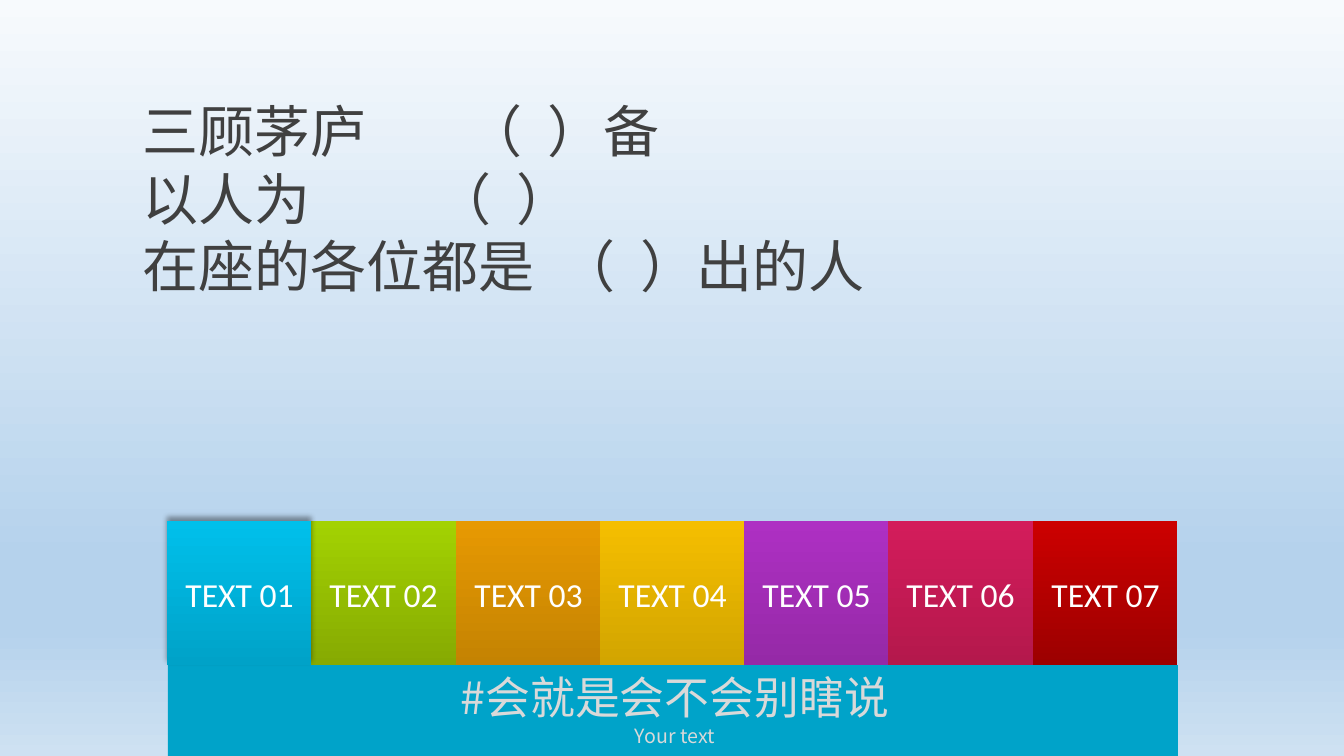
from dataclasses import dataclass

from lxml import etree
from pptx import Presentation
from pptx.dml.color import RGBColor
from pptx.enum.shapes import MSO_SHAPE
from pptx.enum.text import MSO_ANCHOR, PP_ALIGN
from pptx.oxml import parse_xml
from pptx.oxml.ns import nsdecls, qn
from pptx.util import Pt

RECTANGLE = MSO_SHAPE.RECTANGLE
TOP = MSO_ANCHOR.TOP
LEFT, CENTER = PP_ALIGN.LEFT, PP_ALIGN.CENTER
PX = 12192000 / 1344


@dataclass
class Theme:
    latin: str = "Calibri"
    chinese: str = "Noto Sans CJK SC"
    riddle_size: int = 40
    title_size: int = 32
    label_size: int = 24
    caption_size: int = 14
    ink: str = "404040"
    pale: str = "D9D9D9"
    white: str = "FFFFFF"
    bar: str = "00A3C9"
    background: tuple = ((0, "F7FAFD"), (74, "B5D2EC"), (83, "B5D2EC"), (100, "CEE1F2"))
    tiles: tuple = (
        ("00C0EB", "00A2C8"),
        ("A3D202", "86AA02"),
        ("E79902", "C48302"),
        ("F5BE00", "D2A500"),
        ("AE30C3", "9529A7"),
        ("D31C5B", "B4184C"),
        ("CC0000", "9C0000"),
    )


theme = Theme()


def add_text(text, box, sizes, font, color, align=LEFT, tab_stops=()):
    shape = slide.shapes.add_textbox(*[round(length * PX) for length in box])
    frame = shape.text_frame
    frame.word_wrap = True
    frame.vertical_anchor = TOP
    for index, line in enumerate(text):
        paragraph = frame.paragraphs[0] if index == 0 else frame.add_paragraph()
        paragraph.text = line
        paragraph.alignment = align
        if tab_stops:
            tab_list = etree.SubElement(paragraph._p.get_or_add_pPr(), qn("a:tabLst"))
            for stop in tab_stops[index]:
                etree.SubElement(tab_list, qn("a:tab"), pos=str(round(stop * PX)), algn="l")
        for run in paragraph.runs:
            run.font.size = Pt(sizes[index])
            run.font.name = font
            run.font.color.rgb = RGBColor.from_string(color)
            east_asian = etree.SubElement(run._r.get_or_add_rPr(), qn("a:ea"))
            east_asian.set("typeface", theme.chinese)


def set_gradient(fill, element, stops):
    fill.gradient()
    fill.gradient_angle = 270
    stop_list = next(element.iter(qn("a:gsLst")))
    for old_stop in list(stop_list):
        stop_list.remove(old_stop)
    for percent, color in stops:
        stop = etree.SubElement(stop_list, qn("a:gs"), pos=str(percent * 1000))
        etree.SubElement(stop, qn("a:srgbClr"), val=color)


presentation = Presentation()
presentation.slide_width = round(1344 * PX)
presentation.slide_height = round(756 * PX)
slide = presentation.slides.add_slide(presentation.slide_layouts[6])
set_gradient(slide.background.fill, slide.element, theme.background)

add_text(
    ["三顾茅庐\t（\t）备", "以人为\t（\t）", "在座的各位都是\t（\t）出的人"],
    (133, 92, 902, 214),
    sizes=[theme.riddle_size] * 3,
    font=theme.chinese,
    color=theme.ink,
    tab_stops=[(324, 405), (293, 374), (417, 498)],
)

row_left, row_top, row_width, bar_top = 167, 521, 1010, 665
edges = [row_left + round(index * row_width / len(theme.tiles)) for index in range(len(theme.tiles) + 1)]

bar_box = (168, bar_top, row_width, 756 - bar_top)
bar = slide.shapes.add_shape(RECTANGLE, *[round(length * PX) for length in bar_box])
bar.shadow.inherit = False
bar.fill.solid()
bar.fill.fore_color.rgb = RGBColor.from_string(theme.bar)
bar.line.fill.background()
add_text(
    ["#会就是会不会别瞎说", "Your text"],
    (170, bar_top, row_width, 88),
    sizes=[theme.title_size, theme.caption_size],
    font=theme.chinese,
    color=theme.pale,
    align=CENTER,
)

for index in reversed(range(len(theme.tiles))):
    tile_box = (edges[index], row_top, edges[index + 1] - edges[index], bar_top - row_top)
    tile = slide.shapes.add_shape(RECTANGLE, *[round(length * PX) for length in tile_box])
    tile.shadow.inherit = False
    tile.line.fill.background()
    first, last = theme.tiles[index]
    set_gradient(tile.fill, tile._element, [(0, first), (100, last)])

effects = tile._element.spPr.find(qn("a:effectLst"))
effects.append(parse_xml(
    f'<a:outerShdw {nsdecls("a")} blurRad="{Pt(4)}" dist="{Pt(3)}" dir="16200000" rotWithShape="0">'
    '<a:srgbClr val="000000"><a:alpha val="40000"/></a:srgbClr></a:outerShdw>'
))

for index, edge in enumerate(edges[:-1]):
    add_text(
        [f"TEXT {index + 1:02}"],
        (edge + 3, 569, 139, 50),
        sizes=[theme.label_size],
        font=theme.latin,
        color=theme.white,
        align=CENTER,
    )

presentation.save("out.pptx")
